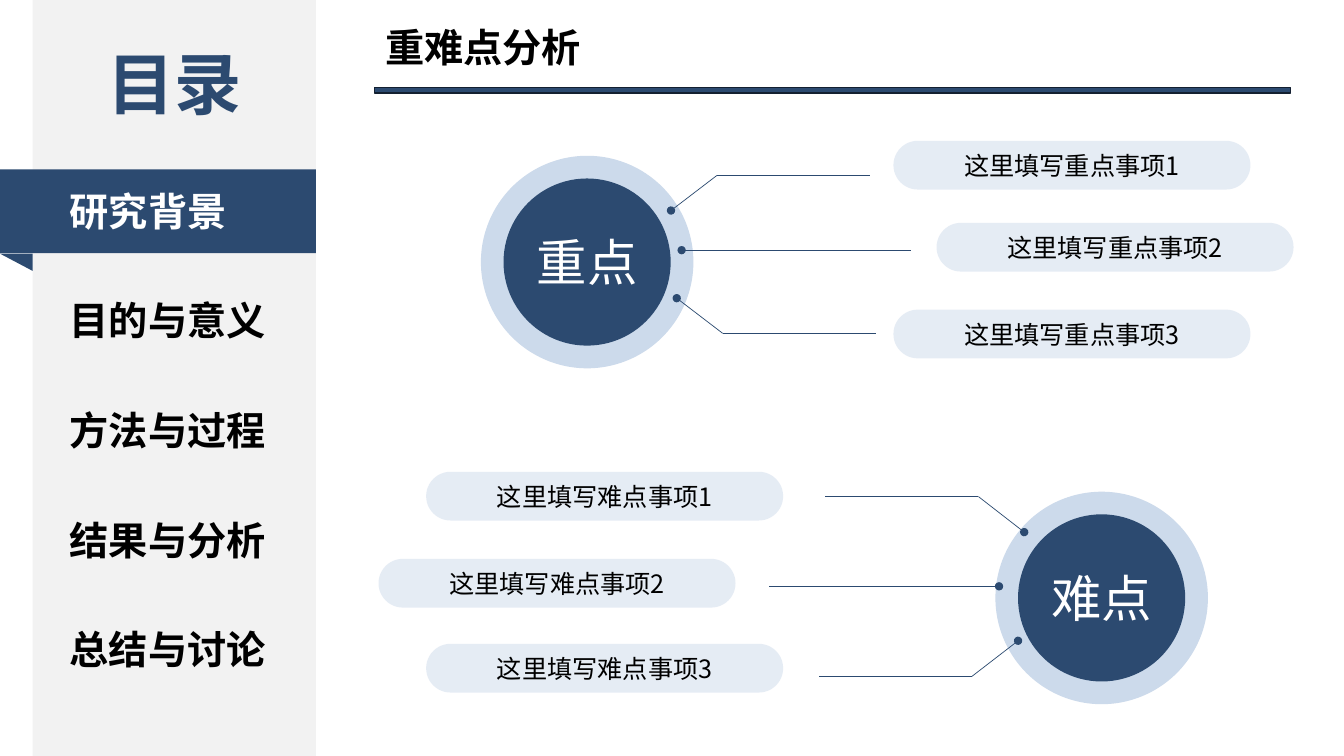
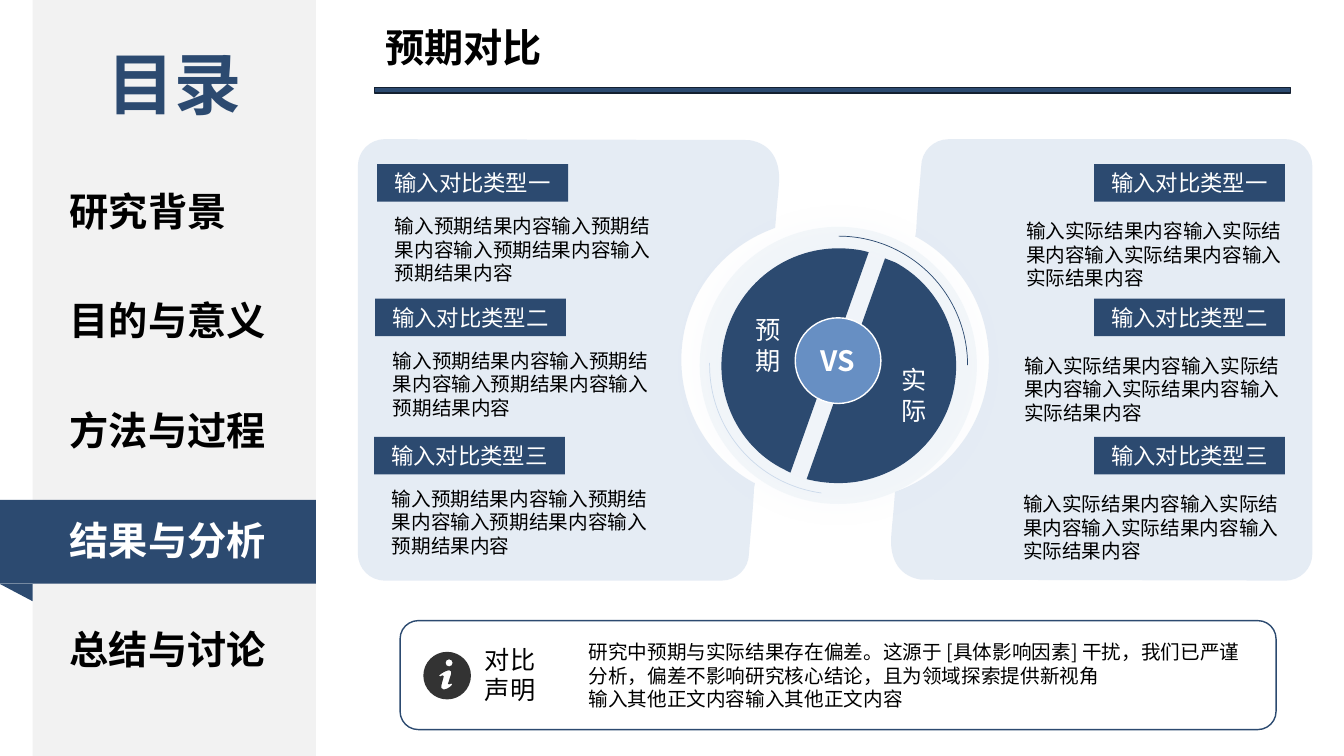
from itertools import pairwise

from lxml.etree import SubElement
from pptx import Presentation
from pptx.dml.color import RGBColor
from pptx.enum.shapes import MSO_CONNECTOR as Wire, MSO_SHAPE as Form
from pptx.enum.text import MSO_ANCHOR as Anchor, PP_ALIGN as Align
from pptx.oxml.ns import qn
from pptx.util import Pt

NAVY = "2C4A70"
PALE = "CCDAEB"
GREY = "F2F2F2"
EDGE = "132031"
BLUE = "678FC3"
INK = "333333"
WHITE = "FFFFFF"
BLACK = "000000"
FONT = "Noto Sans CJK SC"


def paint(shape, fill=None, line=None, width=1, alpha=100):
    if hasattr(shape, "fill"):
        if fill:
            shape.fill.solid()
            shape.fill.fore_color.rgb = RGBColor.from_string(fill)
            if alpha < 100:
                tint = shape._element.spPr.find(qn("a:solidFill"))[0]
                SubElement(tint, qn("a:alpha"), val=str(alpha * 1000))
        else:
            shape.fill.background()
    if line:
        shape.line.color.rgb = RGBColor.from_string(line)
        shape.line.width = Pt(width)
    else:
        shape.line.fill.background()
    SubElement(shape._element.spPr, qn("a:effectLst"))
    return shape


def write(shape, text, size=18, color=BLACK, bold=False, align=Align.LEFT,
          anchor=Anchor.TOP, wrap=True):
    frame = shape.text_frame
    frame.word_wrap = wrap
    frame.vertical_anchor = anchor
    for i, words in enumerate(text.split("\n")):
        para = frame.add_paragraph() if i else frame.paragraphs[0]
        para.alignment = align
        para.line_spacing = Pt(size * 1.2)
        run = para.add_run()
        run.text = words
        run.font.size = Pt(size)
        run.font.bold = bold
        run.font.color.rgb = RGBColor.from_string(color)
        run.font.name = FONT
        SubElement(run._r.rPr, qn("a:ea"), typeface=FONT)


deck = Presentation()
deck.slide_width = Pt(960)
deck.slide_height = Pt(540)

menu = ["研究背景", "目的与意义", "方法与过程", "结果与分析", "总结与讨论"]
pages = []
for title, active in [("重难点分析", 0), ("预期对比", 3)]:
    page = deck.slides.add_slide(deck.slide_layouts[6]).shapes
    pages.append(page)
    paint(page.add_shape(Form.RECTANGLE, Pt(23.3), 0, Pt(202.4), Pt(540)), GREY)
    write(page.add_textbox(Pt(54.7), Pt(26.6), Pt(139.7), Pt(65.5)), "目录",
          size=48, color=NAVY, bold=True, align=Align.CENTER)
    for i, name in enumerate(menu):
        if i == active:
            band = 121.1 + 78.65 * i
            paint(page.add_shape(Form.RECTANGLE, 0, Pt(band), Pt(225.7), Pt(59.8)), NAVY)
            flap = page.add_shape(Form.RIGHT_TRIANGLE, 0, Pt(band + 60.1), Pt(23.3), Pt(12.3))
            flap.rotation = 180
            paint(flap, NAVY)
        write(page.add_textbox(Pt(42.8), Pt(130.2 + 78.25 * i), Pt(159), Pt(41)), name,
              size=28, bold=True, color=WHITE if i == active else BLACK)
    paint(page.add_shape(Form.RECTANGLE, Pt(267.5), Pt(62.6), Pt(654.5), Pt(3.8)), NAVY, EDGE)
    write(page.add_textbox(Pt(268.2), Pt(13), Pt(355), Pt(41)), title, size=28, bold=True)

focus, versus = pages

topics = [
    ("重点", 343.5, 111.3, [(638.2, 100.6), (669, 159.2), (638.2, 221.2)]),
    ("难点", 711, 351.2, [(304.4, 337), (270.4, 399.2), (304.4, 459.9)]),
]
for topic, left, top, pills in topics:
    paint(focus.add_shape(Form.OVAL, Pt(left), Pt(top), Pt(151.8), Pt(151.8)), PALE)
    core = focus.add_shape(Form.OVAL, Pt(left + 16.2), Pt(top + 16.2), Pt(119.4), Pt(119.4))
    paint(core, NAVY)
    write(focus.add_textbox(Pt(left + 26.3), Pt(top + 50.5), Pt(99.4), Pt(51)), topic,
          size=36, color=WHITE, align=Align.CENTER)
    for i, (x, y) in enumerate(pills, 1):
        pill = focus.add_shape(Form.ROUNDED_RECTANGLE, Pt(x), Pt(y), Pt(255), Pt(34.8))
        pill.adjustments[0] = 0.5
        paint(pill, PALE, alpha=50)
        write(pill, f"这里填写{topic}事项{i}", align=Align.CENTER, anchor=Anchor.MIDDLE)

wires = [
    [(479.3, 150.4), (512, 125.4), (621.4, 125.4)],
    [(486.9, 178.7), (650.8, 178.7)],
    [(483.4, 213), (516.2, 238.1), (625.7, 238.1)],
    [(731.6, 380.1), (698.9, 354.7), (589.5, 354.7)],
    [(713.6, 418.8), (549.4, 418.8)],
    [(727.2, 457.7), (694.3, 483.1), (585, 483.1)],
]
for wire in wires:
    for i, (start, end) in enumerate(pairwise(wire)):
        link = focus.add_connector(Wire.STRAIGHT, *map(Pt, start + end))
        paint(link, line=NAVY, width=0.5)
        if i == 0:
            SubElement(link.line._get_or_add_ln(), qn("a:headEnd"), type="oval")

disc = versus.add_shape(Form.OVAL, Pt(499.8), Pt(162), Pt(198), Pt(198))
paint(disc, PALE, alpha=20)
glow = SubElement(disc._element.spPr[-1], qn("a:outerShdw"), blurRad=str(Pt(20)),
                  dist="0", dir="0", algn="ctr", rotWithShape="0")
hue = SubElement(glow, qn("a:srgbClr"), val=PALE)
SubElement(hue, qn("a:alpha"), val="40000")

before = [
    (599, 177.4), (604.9, 177.4, 610.7, 178, 616.3, 179.1), (620.5, 180.2),
    (564.6, 337.6), (559.2, 334.9),
    (532.7, 321.4, 515.3, 293.3, 515.3, 261.3), (515.3, 215, 552.8, 177.4, 599, 177.4),
]
after = [
    (632.2, 184.6), (639.6, 187.5),
    (665.3, 201.4, 683, 229, 683, 261.3), (683, 307.6, 645.5, 345.1, 599, 345.1),
    (593.3, 345.1, 587.6, 344.6, 582.2, 343.6), (576.2, 342.3),
]
panel = [
    (275, 99.4), (535, 100),
    (554, 103, 557, 119, 556.5, 129.6), (556, 138, 555, 146, 554.4, 154),
    (553.7, 162.7), (548, 165),
    (512, 180, 486.7, 215, 486.7, 257), (486.7, 295, 507.6, 328, 538.6, 344.9),
    (539.3, 345), (538.6, 349),
    (538, 363, 536.4, 378, 535, 395.3), (535, 406, 526, 414.7, 515.5, 414.7),
    (275, 414.7), (264, 414.7, 255.6, 406, 255.6, 395.3),
    (255.6, 118.8), (255.6, 108, 264, 99.4, 275, 99.4),
]
twin = [tuple((514.1 if i % 2 else 1193) - v for i, v in enumerate(step)) for step in panel]
stem = [
    (313.5, 482.5), (316, 480.5, 319, 478.8, 321, 478.8),
    (322.4, 478.8, 322.4, 480, 322.2, 481.5), (320, 488.5),
    (319.9, 489.2, 321.5, 488.8, 322.4, 488.2), (323.2, 489),
    (321, 491.5, 318.5, 492.5, 316.8, 492.5),
    (315, 492.5, 315, 491, 315.4, 489), (317, 483.2),
    (317, 481.8, 315.5, 482.4, 314.4, 483.2),
]
info = [stem]
for x, y, r in [(319.4, 482.6, 17), (320.8, 473.5, 2.55)]:
    k = 0.55 * r
    info.append([
        (x, y - r),
        (x + k, y - r, x + r, y - k, x + r, y), (x + r, y + k, x + k, y + r, x, y + r),
        (x - k, y + r, x - r, y + k, x - r, y), (x - r, y - k, x - k, y - r, x, y - r),
    ])
for loops, fill, alpha in [
    ([before], NAVY, 100), ([after], NAVY, 100),
    ([panel], PALE, 50), ([twin], PALE, 50), (info, INK, 100),
]:
    pen = versus.build_freeform(*map(Pt, loops[0][0]), scale=1.0)
    for i, loop in enumerate(loops):
        if i:
            pen.move_to(*map(Pt, loop[0]))
        flat = [Pt(v) for step in loop[1:] for v in step]
        pen.add_line_segments(list(zip(flat[::2], flat[1::2])), close=True)
    form = paint(pen.convert_to_shape(), fill, alpha=alpha)
    trace = form._element.spPr.find(".//" + qn("a:path"))
    nodes = iter(list(trace))
    for loop in loops:
        next(nodes)
        for step in loop[1:]:
            curve, *rest = [next(nodes) for v in step[::2]]
            if rest:
                bend = SubElement(trace, qn("a:cubicBezTo"))
                trace.replace(curve, bend)
                bend.append(curve[0])
            for node in rest:
                bend.append(node[0])
                trace.remove(node)
        next(nodes)

hub = versus.add_shape(Form.OVAL, Pt(568), Pt(227), Pt(61.2), Pt(61.2))
paint(hub, BLUE, WHITE)
write(hub, "VS", size=20, color=WHITE, bold=True, align=Align.CENTER,
      anchor=Anchor.MIDDLE, wrap=False)
for start, end, color in [(97.7, 181, PALE), (270, 0, NAVY)]:
    arc = versus.add_shape(Form.ARC, Pt(506.9), Pt(168.7), Pt(184.3), Pt(184.3))
    arc.adjustments[0] = start * 0.6
    arc.adjustments[1] = end * 0.6
    paint(arc, line=color, width=0.5)
for side, x, y in [("预期", 532.8, 221.2), ("实际", 637.2, 257)]:
    write(versus.add_textbox(Pt(x), Pt(y), Pt(26.6), Pt(51)), side,
          color=WHITE, align=Align.CENTER)

rows = [("一", 117.2, 0), ("二", 213.3, 1.5), ("三", 312, 2.2)]
for mark, top, shift in rows:
    for side, tag, left, drop in [
        ("预期", 269.4 - shift, 275 - shift, 32.1), ("实际", 781.5, 725.9 - shift, 35.8),
    ]:
        label = versus.add_shape(Form.RECTANGLE, Pt(tag), Pt(top), Pt(136.4), Pt(26.8))
        paint(label, NAVY)
        write(label, f"输入对比类型{mark}", size=16, color=WHITE,
              align=Align.CENTER, anchor=Anchor.MIDDLE)
        write(versus.add_textbox(Pt(left), Pt(top + drop), Pt(208.8), Pt(58.3)),
              f"输入{side}结果内容" * 4, size=14)

note = versus.add_shape(Form.ROUNDED_RECTANGLE, Pt(285.8), Pt(443.3), Pt(625.7), Pt(77.8))
paint(note, line=NAVY)
write(versus.add_textbox(Pt(339.3), Pt(456.5), Pt(57), Pt(51)), "对比声明")
write(versus.add_textbox(Pt(413.3), Pt(453.6), Pt(481), Pt(58.3)),
      "研究中预期与实际结果存在偏差。这源于 [具体影响因素] 干扰，我们已严谨分析，"
      "偏差不影响研究核心结论，且为领域探索提供新视角\n"
      "输入其他正文内容输入其他正文内容", size=14)

deck.save("out.pptx")
